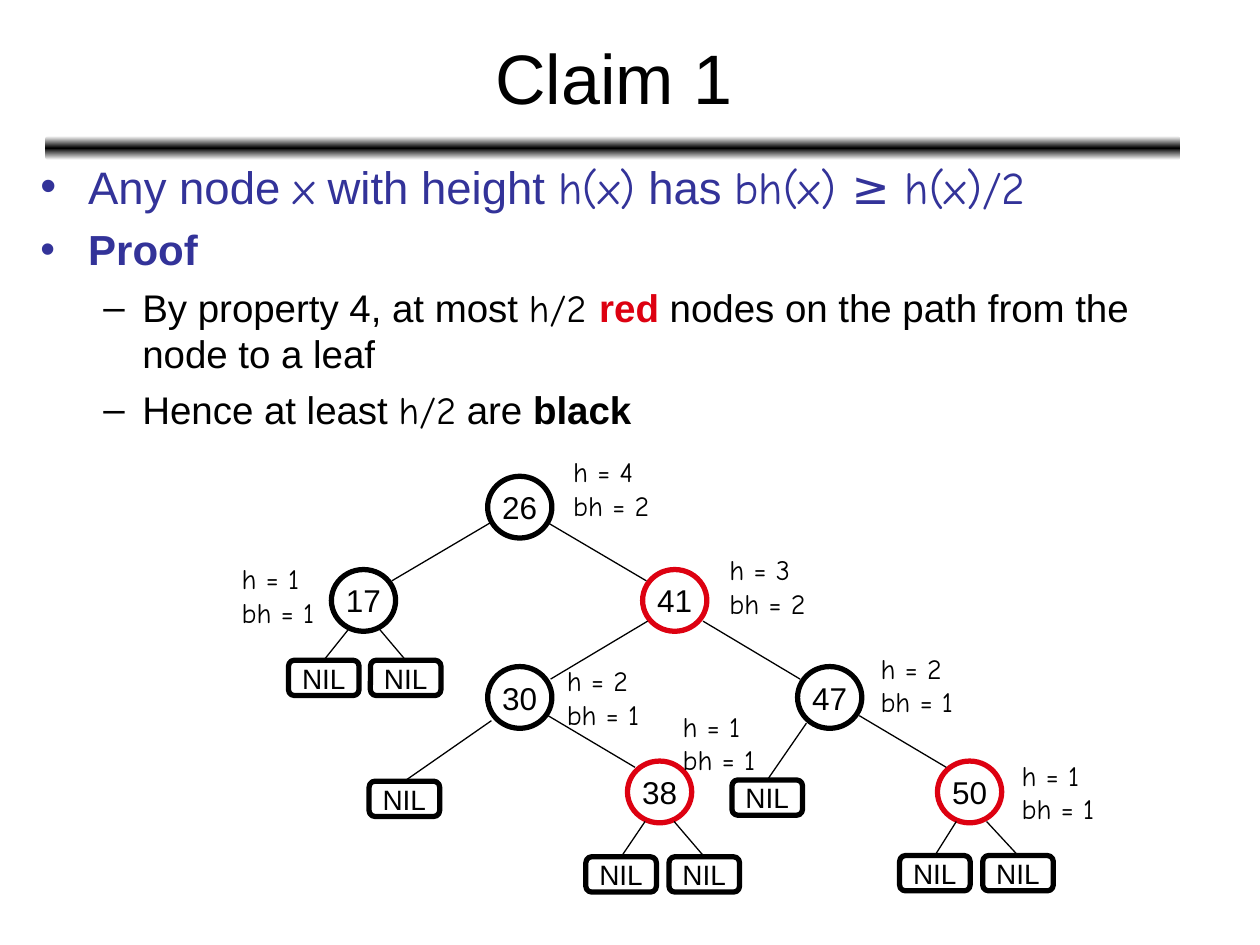
"""Build the red-black tree slide for Claim 1."""
from copy import deepcopy

from lxml import etree
from pptx import Presentation
from pptx.dml.color import RGBColor
from pptx.enum.shapes import MSO_CONNECTOR, MSO_SHAPE
from pptx.enum.text import MSO_ANCHOR, MSO_AUTO_SIZE, PP_ALIGN
from pptx.oxml.ns import qn
from pptx.util import Inches, Pt

STRAIGHT = MSO_CONNECTOR.STRAIGHT
OVAL, ROUND_RECT = MSO_SHAPE.OVAL, MSO_SHAPE.ROUNDED_RECTANGLE
MIDDLE, TOP = MSO_ANCHOR.MIDDLE, MSO_ANCHOR.TOP
NO_FIT, GROW = MSO_AUTO_SIZE.NONE, MSO_AUTO_SIZE.SHAPE_TO_FIT_TEXT
CENTER, LEFT = PP_ALIGN.CENTER, PP_ALIGN.LEFT

THEME = {
    "black": RGBColor(0, 0, 0), "white": RGBColor(255, 255, 255),
    "red": RGBColor(0xDD, 0x01, 0x11), "blue": RGBColor(0x33, 0x33, 0x99),
    "sans": "Arial", "hand": "Comic Neue",
    "title": Pt(40), "claim": Pt(26), "proof": Pt(24), "detail": Pt(22),
    "node": Pt(18), "small": Pt(16), "outline": Pt(3), "edge": Pt(0.75),
}


def add_run(p, text, size, font="sans", color="black", bold=False):
    r = p.add_run()
    r.text = text
    fmt = {"size": THEME[size], "name": THEME[font], "bold": bold}
    for name, value in fmt.items():
        setattr(r.font, name, value)
    r.font.color.rgb = THEME[color]


def add_outlined(kind, box, text, size, color="black"):
    sp = s.shapes.add_shape(kind, *map(Inches, box))
    sp.shadow.inherit = False
    sp.fill.background()
    sp.line.color.rgb = THEME[color]
    sp.line.width = THEME["outline"]
    tf = sp.text_frame
    tf.word_wrap = False
    tf.vertical_anchor = MIDDLE
    p = tf.paragraphs[0]
    p.alignment = CENTER
    add_run(p, text, size)
    return sp


prs = Presentation()
prs.slide_width, prs.slide_height = Inches(10), Inches(7.5)
s = prs.slides.add_slide(prs.slide_layouts[1])
title, body = s.placeholders[0], s.placeholders[1]

bar = s.shapes.add_shape(ROUND_RECT, Inches(0.36), Inches(1.08), Inches(9.01), Inches(0.19))
s.shapes._spTree.insert(2, bar._element)
bar.shadow.inherit = False
bar.line.fill.background()
bar.fill.gradient()
bar.fill.gradient_angle = 90
gs_list = bar._element.spPr.find(".//" + qn("a:gsLst"))
gs_list.append(deepcopy(gs_list[0]))
for stop, color, position in zip(bar.fill.gradient_stops, ("white", "black", "white"), (0, 0.5, 1)):
    stop.color.rgb = THEME[color]
    stop.position = position

for sp, box, anchor in ((title, (0.37, 0.11, 9, 0.99), MIDDLE), (body, (0.22, 1.21, 9.51, 2.34), TOP)):
    sp.left, sp.top, sp.width, sp.height = map(Inches, box)
    for name, value in {"word_wrap": True, "auto_size": NO_FIT, "vertical_anchor": anchor}.items():
        setattr(sp.text_frame, name, value)

p = title.text_frame.paragraphs[0]
p.alignment = CENTER
add_run(p, "Claim 1", "title")

claim = {"size": "claim", "color": "blue"}
claim_math = {**claim, "font": "hand"}
detail = {"size": "detail"}
detail_math = {**detail, "font": "hand"}
bullets = [
    (0, 0, [("Any node ", claim), ("x", claim_math), (" with height ", claim), ("h(x)", claim_math),
            (" has ", claim), ("bh(x) ≥ h(x)/2", claim_math)]),
    (0, 6, [("Proof", {"size": "proof", "color": "blue", "bold": True})]),
    (1, 5.5, [("By property 4, at most ", detail), ("h/2 ", detail_math),
              ("red", {**detail, "color": "red", "bold": True}),
              (" nodes on the path from the node to a leaf", detail)]),
    (1, 5.5, [("Hence at least ", detail), ("h/2", detail_math), (" are ", detail),
              ("black", {**detail, "bold": True})]),
]
indents = [(0.38, -0.38), (0.81, -0.31)]
tf = body.text_frame
for i, (level, before, runs) in enumerate(bullets):
    p = tf.add_paragraph() if i else tf.paragraphs[0]
    p.level, p.alignment, p.space_before = level, LEFT, Pt(before)
    for name, value in zip(("marL", "indent"), indents[level]):
        p._p.get_or_add_pPr().set(name, str(Inches(value)))
    for text, fmt in runs:
        add_run(p, text, **fmt)

nodes = [
    ("26", 3.87, 3.78, "black"), ("17", 2.63, 4.52, "black"), ("41", 5.1, 4.52, "red"),
    ("30", 3.87, 5.29, "black"), ("47", 6.33, 5.29, "black"),
    ("38", 4.98, 6.04, "red"), ("50", 7.44, 6.04, "red"),
]
for key, x, y, color in nodes:
    add_outlined(OVAL, (x, y, 0.51, 0.49), key, "node", color)

edges = [
    (3.89, 4.15, 3.11, 4.61), (4.35, 4.15, 5.13, 4.61), (5.14, 4.93, 4.37, 5.39),
    (5.58, 4.93, 6.35, 5.39), (4.35, 5.68, 5.04, 6.09), (6.82, 5.68, 7.51, 6.09),
]
lines = [s.shapes.add_connector(STRAIGHT, *map(Inches, edge)) for edge in edges]

leaves = [
    (2.29, 5.24, 2.77, 4.99), (2.94, 5.24, 3, 4.98), (2.93, 6.2, 3.9, 5.72),
    (4.65, 6.8, 5.12, 6.52), (5.31, 6.8, 5.35, 6.52), (7.14, 6.79, 7.59, 6.52),
    (7.8, 6.79, 7.83, 6.52), (5.81, 6.19, 6.4, 5.74),
]
for x, y, start_x, start_y in leaves:
    leaf = add_outlined(ROUND_RECT, (x, y, 0.56, 0.28), "NIL", "small")
    line = s.shapes.add_connector(STRAIGHT, *map(Inches, (start_x, start_y, x + 0.28, y)))
    line.end_connect(leaf, 0)
    lines.append(line)

for line in lines:
    line.line.color.rgb = THEME["black"]
    line.line.width = THEME["edge"]
    etree.SubElement(line._element.spPr, qn("a:effectLst"))

labels = [
    (4.45, 3.56, 4, 2), (5.69, 4.34, 3, 2), (6.89, 5.12, 2, 1), (8.01, 5.97, 1, 1),
    (1.82, 4.41, 1, 1), (4.4, 5.22, 2, 1), (5.32, 5.58, 1, 1),
]
for x, y, height, black_height in labels:
    sp = s.shapes.add_textbox(Inches(x), Inches(y), Inches(0.82), Inches(0.64))
    tf = sp.text_frame
    tf.word_wrap, tf.auto_size = False, GROW
    for i, text in enumerate((f"h = {height}", f"bh = {black_height}")):
        p = tf.add_paragraph() if i else tf.paragraphs[0]
        p.alignment = LEFT
        add_run(p, text, "small", "hand")

prs.save("out.pptx")
